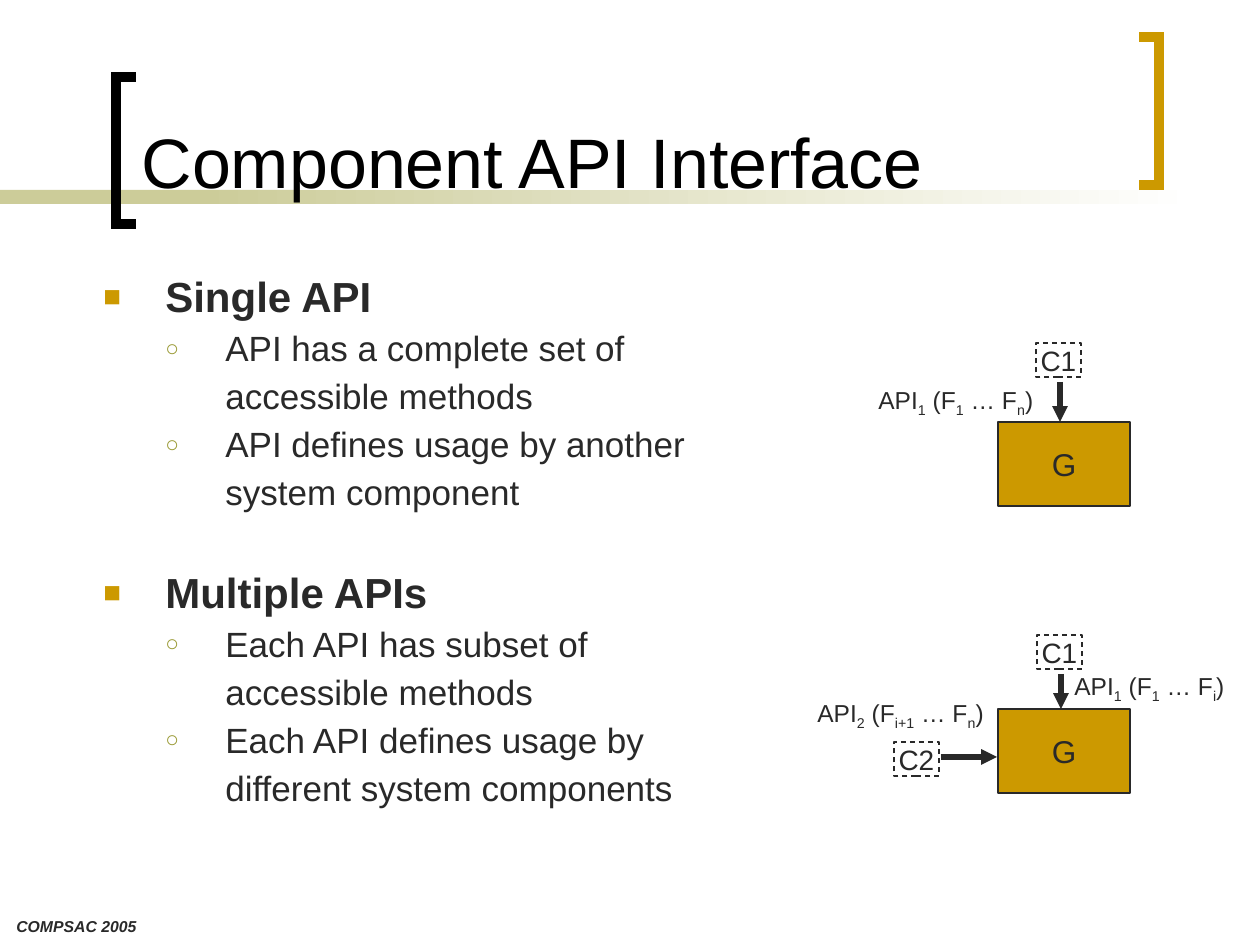
from dataclasses import dataclass

from lxml import etree
from pptx import Presentation
from pptx.dml.color import RGBColor
from pptx.enum.dml import MSO_LINE
from pptx.enum.shapes import MSO_CONNECTOR, MSO_SHAPE
from pptx.enum.text import MSO_ANCHOR, MSO_AUTO_SIZE, PP_ALIGN
from pptx.oxml.ns import qn
from pptx.util import Emu, Pt

RECTANGLE = MSO_SHAPE.RECTANGLE
STRAIGHT = MSO_CONNECTOR.STRAIGHT
DASH = MSO_LINE.DASH
LEFT, CENTER = PP_ALIGN.LEFT, PP_ALIGN.CENTER
TOP, MIDDLE, BOTTOM = MSO_ANCHOR.TOP, MSO_ANCHOR.MIDDLE, MSO_ANCHOR.BOTTOM
NO_FIT, GROW = MSO_AUTO_SIZE.NONE, MSO_AUTO_SIZE.SHAPE_TO_FIT_TEXT
EMU_PER_PX = 914400 / 126
TITLE_ONLY = 5


@dataclass(frozen=True)
class Theme:
    font: str = "Arial"
    ink: str = "292929"
    black: str = "000000"
    white: str = "FFFFFF"
    gold: str = "CC9900"
    olive: str = "999933"
    sand: str = "CCCC99"
    title_size: int = 40
    component_size: int = 18
    client_size: int = 16
    label_size: int = 14
    footer_size: int = 9
    hairline: float = 0.75
    arrow_line: int = 3
    bracket_line: int = 6


THEME = Theme()


@dataclass(frozen=True)
class Area:
    left: int
    top: int
    width: int
    height: int

    def emu(self) -> list:
        return [px(n) for n in (self.left, self.top, self.width, self.height)]


@dataclass(frozen=True)
class Level:
    depth: int
    size: int
    bold: bool
    before: float
    margin: int
    hang: int
    bullet: str
    bullet_color: str
    bullet_percent: int


@dataclass(frozen=True)
class Topic:
    heading: str
    points: tuple
    before: float


@dataclass(frozen=True)
class Label:
    area: Area
    pieces: tuple


HEADING = Level(0, 24, True, 6.9, 62, 62, "■", THEME.gold, 70)
POINT = Level(1, 20, False, 5.8, 122, 60, "○", THEME.olive, 65)
TOPICS = (
    Topic("Single API", (
        ("API has a complete set of", "accessible methods"),
        ("API defines usage by another", "system component"),
    ), HEADING.before),
    Topic("Multiple APIs", (
        ("Each API has subset of", "accessible methods"),
        ("Each API defines usage by", "different system components"),
    ), 33.4),
)
COMPONENTS = (Area(998, 422, 132, 84), Area(998, 709, 132, 84))
CLIENTS = (
    ("C1", Area(1036, 343, 45, 34)),
    ("C1", Area(1037, 635, 45, 34)),
    ("C2", Area(894, 742, 45, 34)),
)
ARROWS = ((1060, 382, 1060, 422), (1061, 674, 1061, 709), (941, 757, 997, 757))
LABELS = (
    Label(Area(866, 379, 180, 47), ("API", "1", " (F", "1", " … F", "n", ")")),
    Label(Area(1062, 665, 175, 47), ("API", "1", " (F", "1", " … F", "i", ")")),
    Label(Area(805, 692, 192, 47), ("API", "2", " (F", "i+1", " … F", "n", ")")),
)


def px(length: int) -> Emu:
    return Emu(round(length * EMU_PER_PX))


def rgb(color: str) -> RGBColor:
    return RGBColor.from_string(color)


def add_span(para, text: str, size: int, color: str = THEME.ink,
             bold: bool = False, italic: bool = False):
    span = para.add_run()
    span.text = text
    font = span.font
    font.name, font.size, font.bold, font.italic = THEME.font, Pt(size), bold, italic
    font.color.rgb = rgb(color)
    return span


def set_frame(box, anchor, wrap: bool, fit=NO_FIT):
    frame = box.text_frame
    frame.auto_size = fit
    frame.word_wrap = wrap
    frame.vertical_anchor = anchor
    return frame


def add_bar(page, area: Area, color: str):
    bar = page.shapes.add_shape(RECTANGLE, *area.emu())
    bar.shadow.inherit = False
    bar.fill.solid()
    bar.fill.fore_color.rgb = rgb(color)
    bar.line.fill.background()
    return bar


def add_node(page, area: Area, text: str, size: int, color: str):
    node = add_bar(page, area, color)
    node.line.color.rgb = rgb(THEME.ink)
    node.line.width = Pt(THEME.hairline)
    para = set_frame(node, MIDDLE, False).paragraphs[0]
    para.alignment = CENTER
    add_span(para, text, size)
    return node


def add_bracket(page, open_x: int, spine_x: int, top: int, bottom: int, color: str) -> None:
    builder = page.shapes.build_freeform(open_x, top, scale=EMU_PER_PX)
    builder.add_line_segments(
        [(spine_x, top), (spine_x, bottom), (open_x, bottom)], close=False)
    bracket = builder.convert_to_shape()
    bracket.shadow.inherit = False
    bracket.fill.background()
    bracket.line.color.rgb = rgb(color)
    bracket.line.width = Pt(THEME.bracket_line)
    stroke = bracket.element.spPr.find(qn("a:ln"))
    etree.SubElement(stroke, qn("a:miter"), lim="800000")


def add_arrow(page, ends: tuple) -> None:
    arrow = page.shapes.add_connector(STRAIGHT, *[px(n) for n in ends])
    arrow.line.color.rgb = rgb(THEME.ink)
    arrow.line.width = Pt(THEME.arrow_line)
    properties = arrow.element.spPr
    etree.SubElement(properties.find(qn("a:ln")), qn("a:tailEnd"), type="triangle")
    etree.SubElement(properties, qn("a:effectLst"))


def add_label(page, label: Label) -> None:
    box = page.shapes.add_textbox(*label.area.emu())
    para = set_frame(box, TOP, False, GROW).paragraphs[0]
    for index, piece in enumerate(label.pieces):
        span = add_span(para, piece, THEME.label_size)
        if index % 2:
            span._r.get_or_add_rPr().set("baseline", "-25000")


def add_line(frame, text: str, level: Level, before: float, bulleted: bool) -> None:
    first = frame.paragraphs[0]
    para = frame.add_paragraph() if first.runs else first
    para.level = level.depth
    para.line_spacing = 0.9
    para.space_before = Pt(before)
    properties = para._p.get_or_add_pPr()
    properties.set("marL", str(px(level.margin)))
    properties.set("indent", str(-px(level.hang) if bulleted else 0))
    if bulleted:
        tint = etree.SubElement(properties, qn("a:buClr"))
        etree.SubElement(tint, qn("a:srgbClr"), val=level.bullet_color)
        etree.SubElement(properties, qn("a:buSzPct"), val=str(level.bullet_percent * 1000))
        etree.SubElement(properties, qn("a:buFont"), typeface=THEME.font)
        etree.SubElement(properties, qn("a:buChar"), char=level.bullet)
    add_span(para, text, level.size, bold=level.bold)


def add_header(page) -> None:
    add_bar(page, Area(0, 190, 294, 14), THEME.sand)
    fade = add_bar(page, Area(199, 190, 998, 14), THEME.sand)
    fade.fill.gradient()
    fade.fill.gradient_angle = 0
    for stop, position, color in zip(fade.fill.gradient_stops, (0, 1), (THEME.sand, THEME.white)):
        stop.position = position
        stop.color.rgb = rgb(color)
    add_bracket(page, 136, 116, 77, 224, THEME.black)
    add_bracket(page, 1139, 1159, 37, 185, THEME.gold)
    title = page.shapes.title
    title.left, title.top, title.width, title.height = Area(129, 14, 987, 195).emu()
    para = set_frame(title, BOTTOM, True).paragraphs[0]
    para.alignment = LEFT
    add_span(para, "Component API Interface", THEME.title_size, THEME.black)
    page.shapes.element.append(title.element)


def add_topics(page) -> None:
    body = page.shapes.add_textbox(*Area(91, 270, 1056, 567).emu())
    frame = set_frame(body, TOP, True)
    for topic in TOPICS:
        add_line(frame, topic.heading, HEADING, topic.before, True)
        for point in topic.points:
            for index, text in enumerate(point):
                add_line(frame, text, POINT, POINT.before, index == 0)


def main() -> None:
    deck = Presentation()
    deck.slide_width, deck.slide_height = px(1260), px(945)
    page = deck.slides.add_slide(deck.slide_layouts[TITLE_ONLY])
    add_header(page)
    footer = page.shapes.add_textbox(*Area(4, 911, 262, 34).emu())
    add_span(set_frame(footer, TOP, True).paragraphs[0], "COMPSAC 2005",
             THEME.footer_size, bold=True, italic=True)
    add_topics(page)
    for area in COMPONENTS:
        add_node(page, area, "G", THEME.component_size, THEME.gold)
    for ends in ARROWS:
        add_arrow(page, ends)
    for label in LABELS:
        add_label(page, label)
    for name, area in CLIENTS:
        client = add_node(page, area, name, THEME.client_size, THEME.white)
        client.line.dash_style = DASH
    deck.save("out.pptx")


if __name__ == "__main__":
    main()
